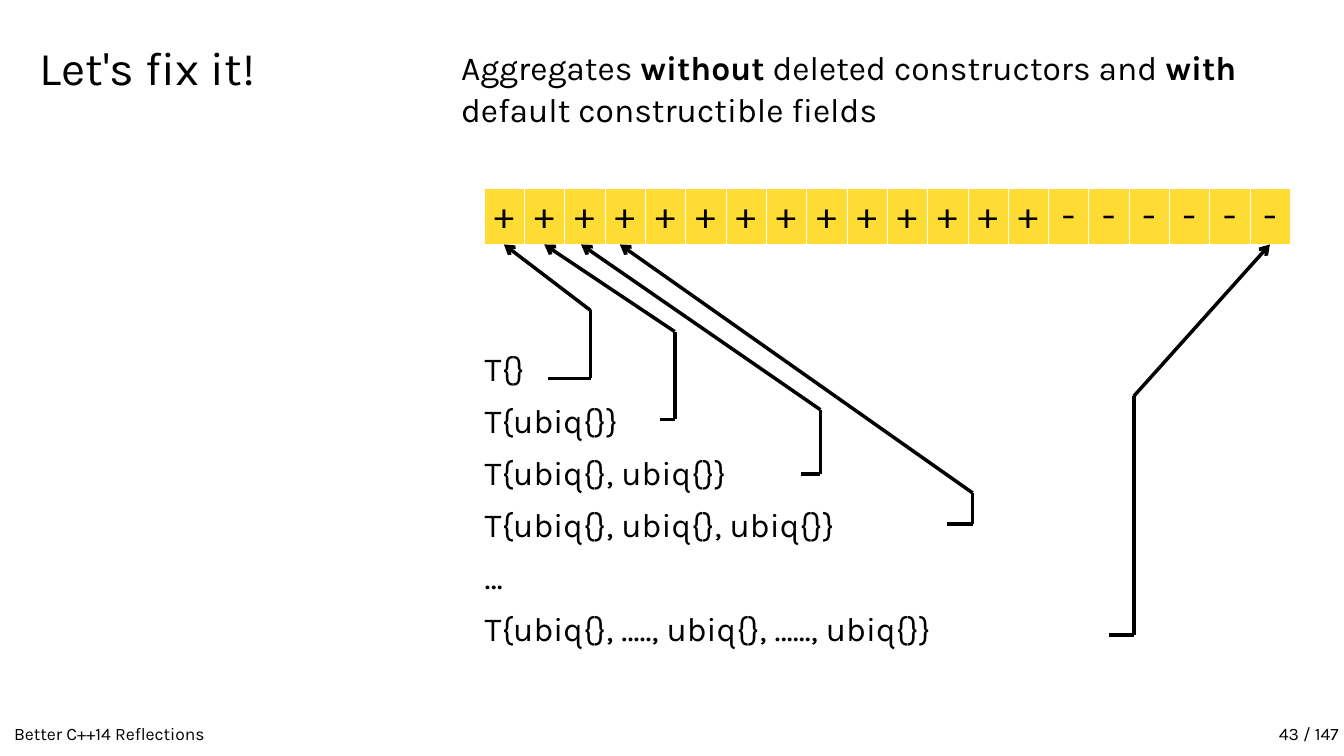
from itertools import pairwise

from lxml import etree
from pptx import Presentation
from pptx.dml.color import RGBColor
from pptx.enum.shapes import MSO_CONNECTOR
from pptx.enum.text import MSO_ANCHOR, MSO_AUTO_SIZE, PP_ALIGN
from pptx.oxml.ns import qn
from pptx.util import Inches, Pt

STRAIGHT = MSO_CONNECTOR.STRAIGHT
TOP, MIDDLE, BOTTOM = MSO_ANCHOR.TOP, MSO_ANCHOR.MIDDLE, MSO_ANCHOR.BOTTOM
LEFT, CENTER, RIGHT = PP_ALIGN.LEFT, PP_ALIGN.CENTER, PP_ALIGN.RIGHT
NO_FIT = MSO_AUTO_SIZE.NONE
COLORS = {"ink": "000000", "cell": "FFDC33", "paper": "FFFFFF"}


def color(name):
    return RGBColor.from_string(COLORS[name])


def write_text(frame, paragraphs, size, align=LEFT, spacing=1.0, after=0, font="Karla"):
    for index, spans in enumerate(paragraphs):
        para = frame.paragraphs[0] if index == 0 else frame.add_paragraph()
        para.alignment = align
        para.line_spacing = spacing
        para.space_before = Pt(0)
        para.space_after = Pt(after)
        for text, bold in [(spans, False)] if isinstance(spans, str) else spans:
            span = para.add_run()
            span.text = text
            span.font.name = font
            span.font.size = Pt(size)
            span.font.bold = bold
            span.font.color.rgb = color("ink")


class SlideBuilder:
    line_width = Pt(5)
    border_width = Pt(0.06)

    def __init__(self, page):
        self.page = page
        page.background.fill.solid()
        page.background.fill.fore_color.rgb = color("paper")

    def fill_box(self, box, place, paragraphs, anchor, **style):
        box.left, box.top, box.width, box.height = map(Inches, place)
        frame = box.text_frame
        frame.word_wrap = True
        frame.auto_size = NO_FIT
        frame.vertical_anchor = anchor
        write_text(frame, paragraphs, **style)

    def title(self, text, place, **style):
        self.fill_box(self.page.shapes.title, place, [text], TOP, **style)

    def text(self, paragraphs, place, anchor=TOP, **style):
        box = self.page.shapes.add_textbox(*map(Inches, place))
        self.fill_box(box, place, paragraphs, anchor, **style)

    def border(self, cell):
        properties = cell._tc.get_or_add_tcPr()
        for index, side in enumerate(("lnL", "lnR", "lnT", "lnB")):
            line = etree.Element(qn(f"a:{side}"), w=str(self.border_width))
            fill = etree.SubElement(line, qn("a:solidFill"))
            etree.SubElement(fill, qn("a:srgbClr"), val=COLORS["paper"])
            properties.insert(index, line)

    def strip(self, marks, place, **style):
        table = self.page.shapes.add_table(1, len(marks), *map(Inches, place)).table
        table.first_row = table.horz_banding = False
        for column, mark in enumerate(marks):
            table.columns[column].width = Inches(place[2] / len(marks))
            cell = table.cell(0, column)
            cell.vertical_anchor = MIDDLE
            cell.fill.solid()
            cell.fill.fore_color.rgb = color("cell")
            self.border(cell)
            write_text(cell.text_frame, [mark], align=CENTER, **style)

    def bent_arrow(self, points):
        group = self.page.shapes.add_group_shape()
        for start, end in pairwise(points):
            line = group.shapes.add_connector(STRAIGHT, *map(Inches, start + end))
            line.line.color.rgb = color("ink")
            line.line.width = self.line_width
            etree.SubElement(line._element.spPr, qn("a:effectLst"))
        outline = line.line._get_or_add_ln()
        etree.SubElement(outline, qn("a:tailEnd"), type="arrow")


def main():
    deck = Presentation()
    deck.slide_width, deck.slide_height = Inches(26.67), Inches(15)
    builder = SlideBuilder(deck.slides.add_slide(deck.slide_layouts[5]))

    builder.title("Let's fix it!", (0.69, 0.84, 7.61, 4.18), size=67, spacing=0.9)

    body = {"size": 48, "spacing": Pt(60), "after": 14.2}
    heading = [
        ("Aggregates ", False),
        ("without", True),
        (" deleted constructors and ", False),
        ("with", True),
        (" default constructible fields", False),
    ]
    builder.text([heading], (9.05, 0.84, 17.15, 2), **body)
    initializers = [
        "T{}",
        "T{ubiq{}}",
        "T{ubiq{}, ubiq{}}",
        "T{ubiq{}, ubiq{}, ubiq{}}",
        "…",
        "T{ubiq{}, ….., ubiq{}, …..., ubiq{}}",
    ]
    builder.text(initializers, (9.52, 6.83, 16.68, 6.3), **body)

    footer = {"anchor": BOTTOM, "size": 25, "spacing": 0.9}
    builder.text(["Better C++14 Reflections"], (0.18, 14.25, 11.35, 0.56), **footer)
    builder.text(["43 / 147"], (15.31, 14.25, 11.35, 0.56), align=RIGHT, **footer)

    builder.strip("+" * 14 + "-" * 6, (9.6, 3.74, 16, 1.1), size=54)

    strip_bottom = 4.85
    for start_x, bend_x, low_y, high_y, tip_x in (
        (10.88, 11.72, 7.51, 6.16, 10),
        (13.1, 13.39, 8.32, 6.58, 10.8),
        (15.9, 16.28, 9.4, 8.13, 11.53),
        (18.8, 19.3, 10.4, 9.78, 12.3),
        (22, 22.5, 12.6, 7.86, 25.2),
    ):
        builder.bent_arrow([
            (start_x, low_y),
            (bend_x, low_y),
            (bend_x, high_y),
            (tip_x, strip_bottom),
        ])

    deck.save("out.pptx")


if __name__ == "__main__":
    main()
